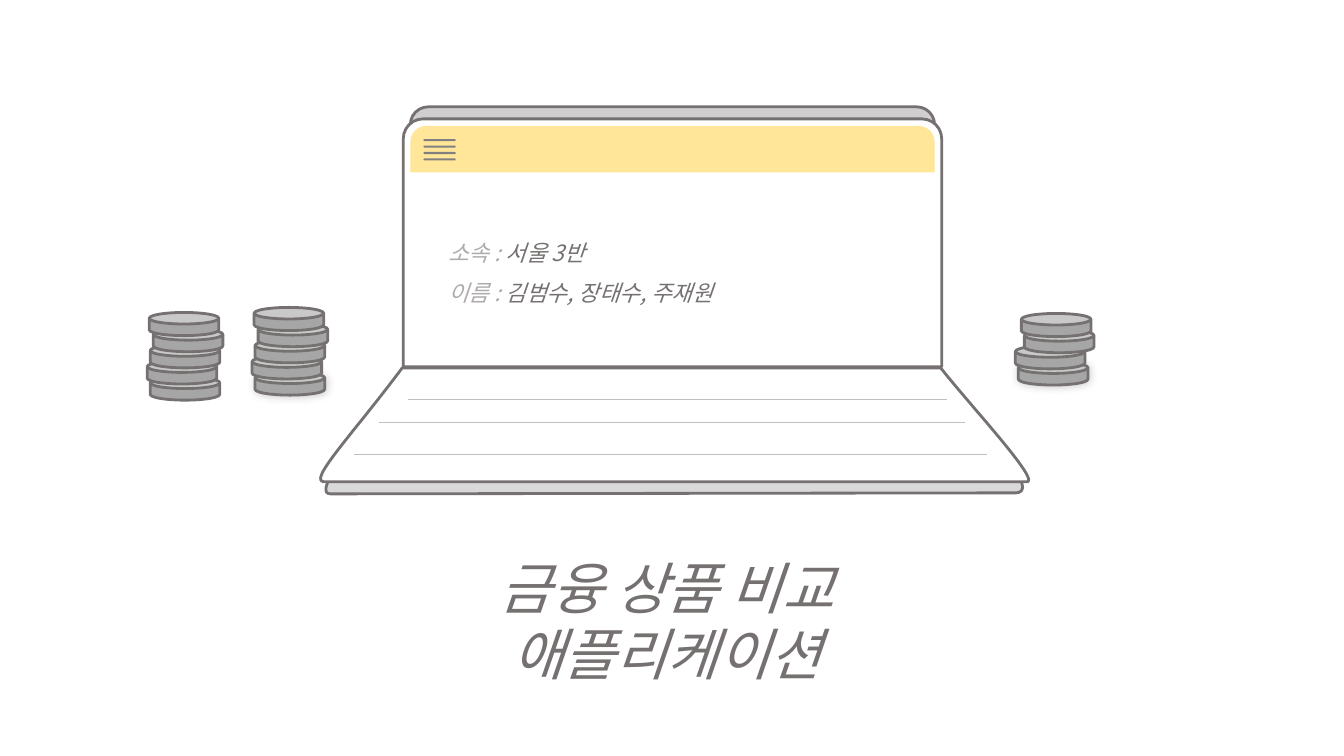
from lxml import etree
from pptx import Presentation
from pptx.dml.color import RGBColor
from pptx.enum.shapes import MSO_CONNECTOR, MSO_SHAPE
from pptx.enum.text import MSO_ANCHOR, MSO_AUTO_SIZE, PP_ALIGN
from pptx.oxml import parse_xml
from pptx.oxml.ns import nsdecls, qn
from pptx.util import Inches, Pt

CAN = MSO_SHAPE.CAN
TOP_ROUNDED = MSO_SHAPE.ROUND_2_SAME_RECTANGLE
ROUNDED = MSO_SHAPE.ROUNDED_RECTANGLE
STRAIGHT = MSO_CONNECTOR.STRAIGHT
FONT = "Noto Sans CJK KR"
OUTLINE = "767171"

TITLE = "금융 상품 비교 애플리케이션"
DETAILS = [("소속 : ", "서울 3반"), ("이름 : ", "김범수, 장태수, 주재원")]

COIN_WIDTH, COIN_HEIGHT, COIN_STEP = 0.69, 0.23, 0.16
COIN_STACKS = [
    (3.59, [10.1, 10.07, 10.16, 10.13], True),
    (3.74, [1.49, 1.46, 1.49, 1.52, 1.48], False),
    (3.69, [2.53, 2.5, 2.53, 2.56, 2.52], True),
]
MENU_BARS, MENU_TOP, MENU_STEP = 4, 1.38, 0.064
BASE_PARTS = [
    ("D9D9D9", (3.28, 4.9), [
        [(3.05, 4.9), (3.71, 4.14), (3.99, 3.76)],
        [(9.33, 3.76)],
        [(9.62, 4.14), (10.36, 4.87), (10.08, 4.89)]]),
    ("FFFFFF", (3.22, 4.78), [
        [(3.04, 4.78), (3.49, 4.32), (3.99, 3.65)],
        [(9.33, 3.65)],
        [(9.62, 4.02), (10.34, 4.79), (10.18, 4.78)]]),
]
KEY_ROWS = [(4.05, 9.39, 3.96), (3.76, 9.57, 4.19), (3.51, 9.79, 4.51)]
CURVE_STEPS = 24


def color(value):
    return RGBColor.from_string(value)


def paint(shape, fill, line=None):
    shape.shadow.inherit = False
    shape.fill.solid()
    shape.fill.fore_color.rgb = color(fill)
    if line:
        shape.line.color.rgb = color(line)
        shape.line.width = Pt(2)
    else:
        shape.line.fill.background()


def add_preset(parent, kind, box, adjustment, fill, line=None):
    shape = parent.add_shape(kind, *[Inches(length) for length in box])
    shape.adjustments[0] = adjustment
    paint(shape, fill, line)
    return shape


def add_shadow(shape):
    effects = shape._element.spPr.find(qn("a:effectLst"))
    effects.append(parse_xml(
        f'<a:outerShdw {nsdecls("a")} blurRad="76200" dist="12700" dir="2700000">'
        '<a:srgbClr val="000000"><a:alpha val="20000"/></a:srgbClr></a:outerShdw>'))


def add_run(paragraph, text, size, fill):
    run = paragraph.add_run()
    run.text = text
    run.font.size = Pt(size)
    run.font.italic = True
    run.font.name = FONT
    run.font.color.rgb = color(fill)
    etree.SubElement(run.font._element, qn("a:ea")).set("typeface", FONT)


def format_paragraph(paragraph, alignment, indent, spacing):
    paragraph.alignment = alignment
    paragraph.line_spacing = Pt(spacing)
    paragraph._p.get_or_add_pPr().set("marL", str(Inches(indent)))


def curve_points(start, first, second, end):
    for step in range(1, CURVE_STEPS + 1):
        t = step / CURVE_STEPS
        weights = ((1 - t) ** 3, 3 * t * (1 - t) ** 2, 3 * t * t * (1 - t), t ** 3)
        points = (start, first, second, end)
        yield tuple(sum(w * p[axis] for w, p in zip(weights, points)) for axis in (0, 1))


def add_outline(parent, fill, start, segments):
    points = [start]
    for segment in segments:
        points += curve_points(points[-1], *segment) if len(segment) == 3 else segment
    corners = [(Inches(x), Inches(y)) for x, y in points]
    builder = parent.build_freeform(*corners[0])
    builder.add_line_segments(corners[1:], close=True)
    paint(builder.convert_to_shape(), fill, OUTLINE)


def add_coins(shapes):
    for bottom, lefts, shadowed in COIN_STACKS:
        stack = shapes.add_group_shape().shapes
        for level, left in enumerate(lefts):
            box = (left, bottom - level * COIN_STEP, COIN_WIDTH, COIN_HEIGHT)
            coin = add_preset(stack, CAN, box, 0.5, "A6A6A6", OUTLINE)
            if shadowed and level == 0:
                add_shadow(coin)


def add_screen(shapes):
    add_preset(shapes, TOP_ROUNDED, (4.07, 1.06, 5.2, 2.22), 0.08, "D0CECE", OUTLINE)
    screen = add_preset(shapes, TOP_ROUNDED, (4, 1.18, 5.34, 2.46), 0.08, "FFFFFF", OUTLINE)
    frame = screen.text_frame
    frame.word_wrap = True
    frame.vertical_anchor = MSO_ANCHOR.MIDDLE
    frame.margin_top = Inches(0.45)
    for index, (label, value) in enumerate(DETAILS):
        paragraph = frame.add_paragraph() if index else frame.paragraphs[0]
        format_paragraph(paragraph, PP_ALIGN.LEFT, 0.29, 28.6)
        add_run(paragraph, label, 16, "AFABAB")
        add_run(paragraph, value, 16, OUTLINE)
    header = shapes.add_group_shape().shapes
    add_preset(header, TOP_ROUNDED, (4.07, 1.25, 5.2, 0.46), 0.34, "FFE699")
    for index in range(MENU_BARS):
        bar = (4.2, MENU_TOP + index * MENU_STEP, 0.32, 0.02)
        add_preset(header, ROUNDED, bar, 0.5, "808080")


def add_base(shapes):
    base = shapes.add_group_shape().shapes
    for part in BASE_PARTS:
        add_outline(base, *part)
    for left, right, y in KEY_ROWS:
        row = base.add_connector(STRAIGHT, Inches(left), Inches(y), Inches(right), Inches(y))
        row.line.color.rgb = color("BFBFBF")
        row.line.width = Pt(0.5)
        etree.SubElement(row._element.spPr, qn("a:effectLst"))


def add_title(title):
    title.left, title.top = Inches(3.18), Inches(5.46)
    title.width, title.height = Inches(6.67), Inches(1.45)
    frame = title.text_frame
    frame.word_wrap = True
    frame.auto_size = MSO_AUTO_SIZE.NONE
    frame.vertical_anchor = MSO_ANCHOR.TOP
    format_paragraph(frame.paragraphs[0], PP_ALIGN.CENTER, 0.2, 47)
    add_run(frame.paragraphs[0], TITLE, 40, OUTLINE)


def main():
    presentation = Presentation()
    presentation.slide_width, presentation.slide_height = Inches(13.33), Inches(7.5)
    slide = presentation.slides.add_slide(presentation.slide_layouts[5])
    add_coins(slide.shapes)
    add_screen(slide.shapes)
    add_title(slide.shapes.title)
    add_base(slide.shapes)
    presentation.save("out.pptx")


if __name__ == "__main__":
    main()
